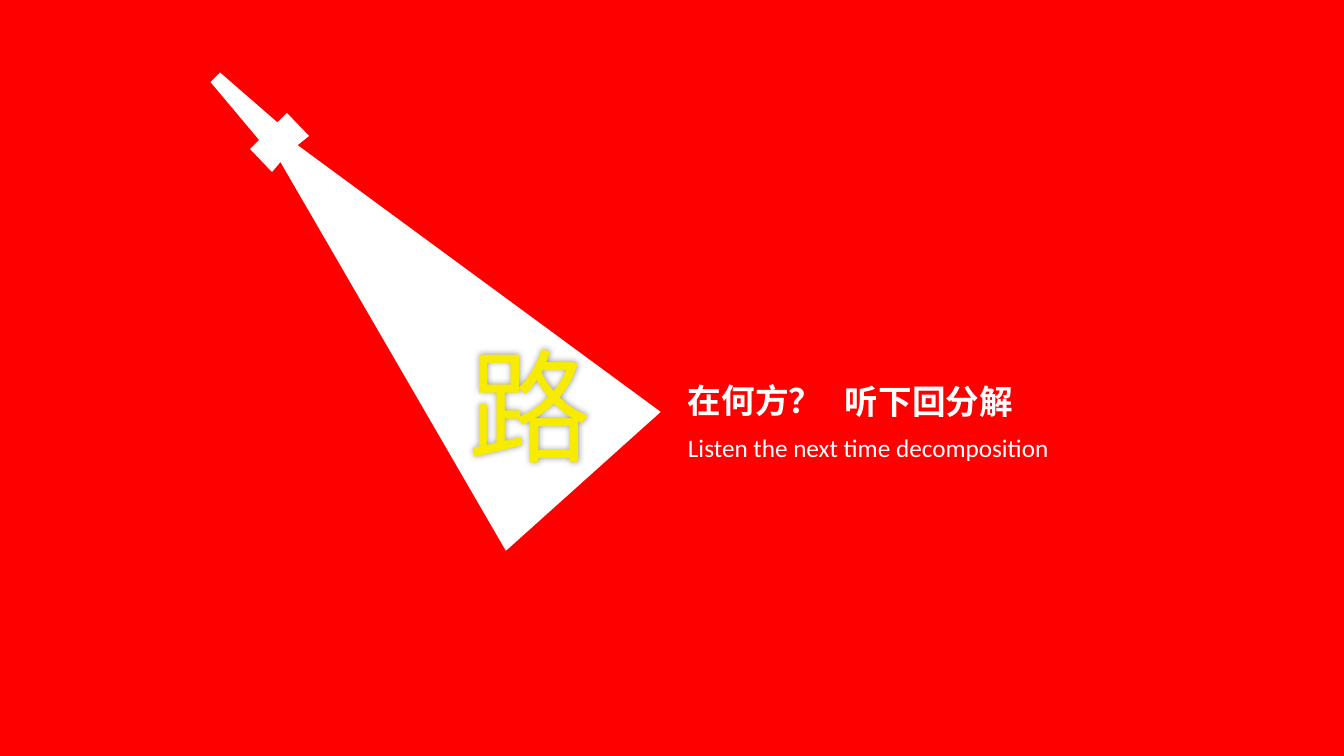
from lxml.etree import SubElement
from pptx import Presentation
from pptx.dml.color import RGBColor
from pptx.enum.shapes import MSO_SHAPE
from pptx.enum.text import MSO_AUTO_SIZE
from pptx.oxml import parse_xml
from pptx.oxml.ns import nsdecls, qn
from pptx.util import Emu, Pt

RED = RGBColor(0xFF, 0x00, 0x00)
WHITE = RGBColor(0xFF, 0xFF, 0xFF)
GOLD = RGBColor(0xF7, 0xEB, 0x00)
HAN = "Noto Sans CJK SC"
LATIN = "Calibri"
SCALE = 914400 / 100.8
GLOW = (
    f'<a:effectLst {nsdecls("a")}>'
    '<a:outerShdw blurRad="63500" dist="0" algn="ctr" rotWithShape="0">'
    '<a:srgbClr val="000000"><a:alpha val="40000"/></a:srgbClr>'
    '</a:outerShdw></a:effectLst>'
)


def px(*sizes):
    return [Emu(round(size * SCALE)) for size in sizes]


class Board:
    """Draws flat shapes and text lines on one slide."""

    def __init__(self, slide):
        self.shapes = slide.shapes

    def paint(self, shape, color):
        shape.shadow.inherit = False
        shape.fill.solid()
        shape.fill.fore_color.rgb = color
        shape.line.fill.background()

    def block(self, kind, box, color, turn=0, host=None):
        shape = (host or self.shapes).add_shape(kind, *px(*box))
        shape.rotation = turn
        self.paint(shape, color)

    def outline(self, points, color, host=None):
        pen = (host or self.shapes).build_freeform(*points[0], scale=SCALE)
        pen.add_line_segments(points[1:], close=True)
        self.paint(pen.convert_to_shape(), color)

    def text(self, words, box, size, color, face, bold=False, glow=False):
        shape = self.shapes.add_textbox(*px(*box))
        frame = shape.text_frame
        frame.word_wrap = False
        frame.auto_size = MSO_AUTO_SIZE.SHAPE_TO_FIT_TEXT
        frame.text = words
        font = frame.paragraphs[0].runs[0].font
        font.size = Pt(size)
        font.bold = bold
        font.color.rgb = color
        font.name = face
        SubElement(font._element, qn("a:ea")).set("typeface", face)
        if glow:
            shape._element.spPr.append(parse_xml(GLOW))


def main():
    deck = Presentation()
    deck.slide_width, deck.slide_height = px(1344, 756)
    board = Board(deck.slides.add_slide(deck.slide_layouts[6]))

    board.block(MSO_SHAPE.RECTANGLE, (0, 0, 1344, 756), RED)
    board.block(MSO_SHAPE.ISOSCELES_TRIANGLE, (313, 47, 208, 498), WHITE, 318.1)

    board.text("路", (459, 325, 145, 159), 88, GOLD, HAN, glow=True)
    board.text("在何方？", (678, 375, 156, 50), 24, WHITE, HAN, bold=True)
    board.text("听下回分解", (835, 376, 190, 50), 24, WHITE, HAN, bold=True)
    board.text("Listen the next time decomposition", (678, 427, 386, 40),
               18, WHITE, LATIN)

    torch = board.shapes.add_group_shape().shapes
    collar = [(287, 113), (309, 136), (289, 152), (272, 172), (250, 149)]
    board.outline(collar, WHITE, torch)
    board.block(MSO_SHAPE.TRAPEZOID, (232, 65, 27, 86), WHITE, 315.5, torch)

    deck.save("out.pptx")


if __name__ == "__main__":
    main()
